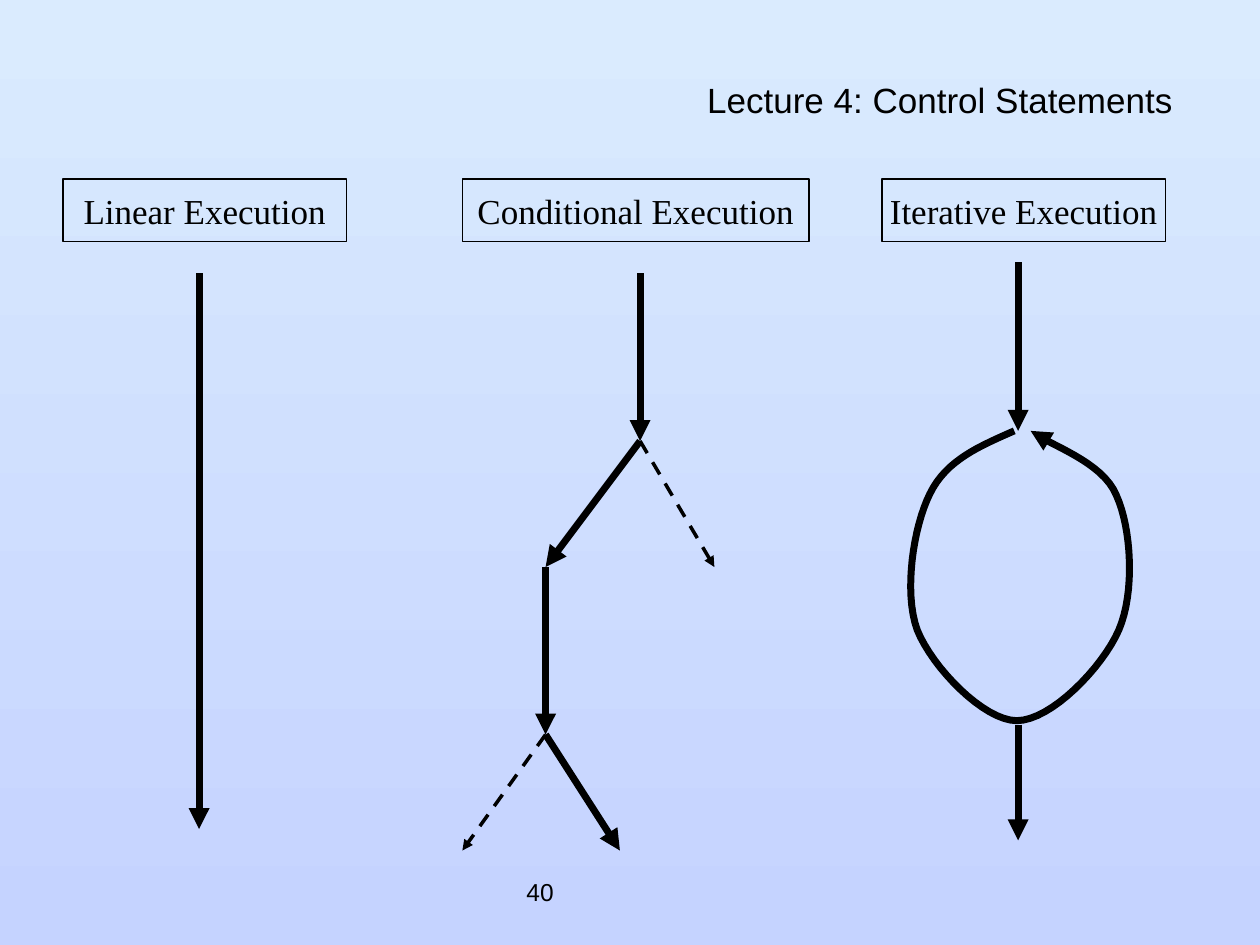
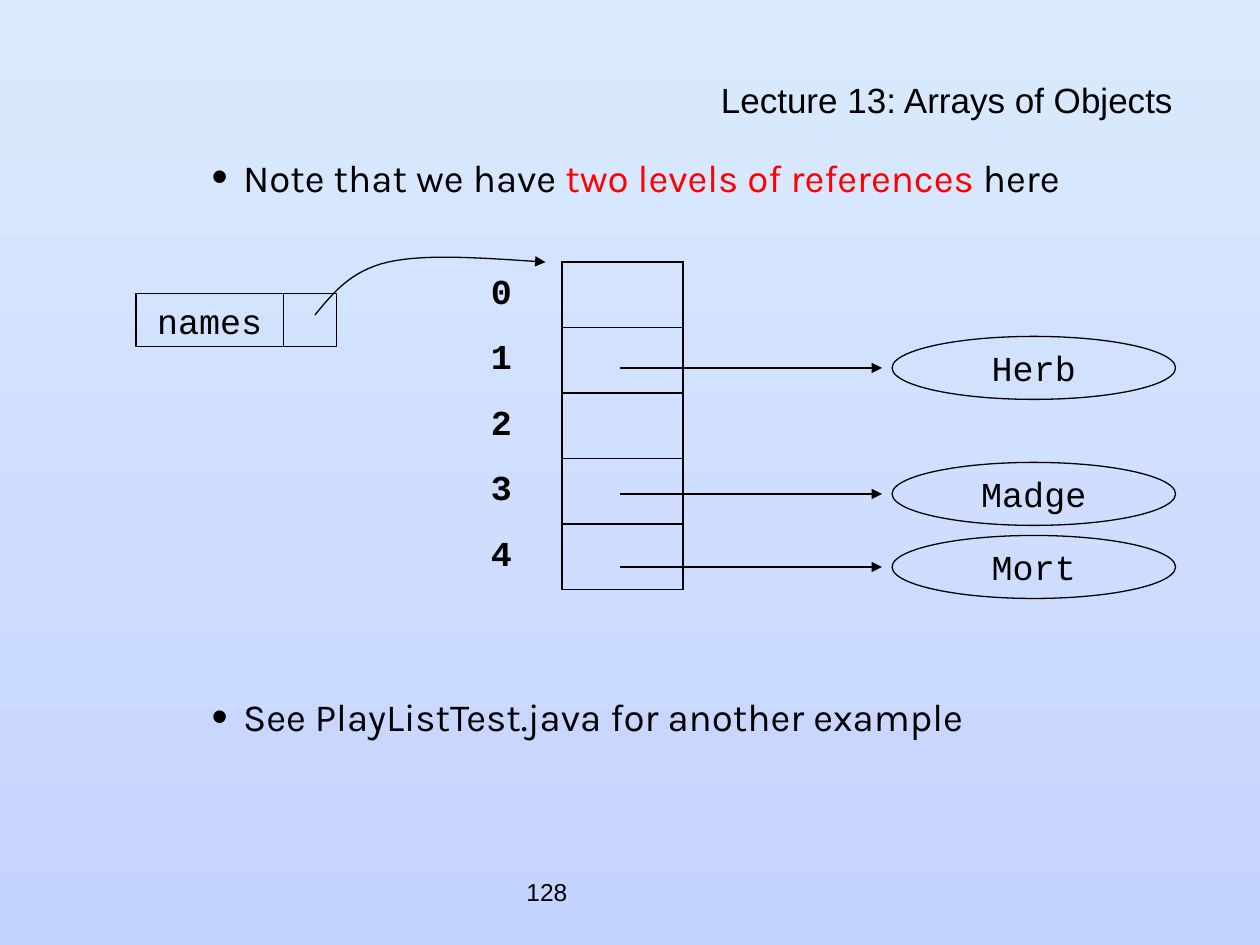
from dataclasses import dataclass

from lxml import etree
from pptx import Presentation
from pptx.dml.color import RGBColor
from pptx.enum.dml import MSO_LINE
from pptx.enum.shapes import MSO_CONNECTOR, MSO_SHAPE
from pptx.enum.text import MSO_ANCHOR, PP_ALIGN
from pptx.oxml.ns import qn
from pptx.util import Inches, Pt

RECTANGLE, OVAL = MSO_SHAPE.RECTANGLE, MSO_SHAPE.OVAL
STRAIGHT = MSO_CONNECTOR.STRAIGHT
DASH = MSO_LINE.DASH
MIDDLE, TOP = MSO_ANCHOR.MIDDLE, MSO_ANCHOR.TOP
CENTER, RIGHT, LEFT = PP_ALIGN.CENTER, PP_ALIGN.RIGHT, PP_ALIGN.LEFT


@dataclass(frozen=True)
class Theme:
    ink: RGBColor = RGBColor(0, 0, 0)
    accent: RGBColor = RGBColor(0xFF, 0, 0)
    sky_top: RGBColor = RGBColor(0xDA, 0xEB, 0xFE)
    sky_bottom: RGBColor = RGBColor(0xC5, 0xD3, 0xFF)
    heading_font: str = "Arial"
    body_font: str = "Karla"
    label_font: str = "Times New Roman"
    code_font: str = "Courier New"
    title_size: int = 20
    body_size: int = 22
    label_size: int = 20
    number_size: int = 14
    thin: float = 0.75
    dashed: float = 2
    thick: float = 4


theme = Theme()


def style_arrow(shape, weight):
    """Give a connector or open outline its line, arrowhead and no shadow."""
    shape.line.color.rgb = theme.ink
    shape.line.width = Pt(weight)
    if weight == theme.dashed:
        shape.line.dash_style = DASH
    etree.SubElement(shape.get_or_add_ln(), qn("a:tailEnd"), type="triangle")
    etree.SubElement(shape.element.spPr, qn("a:effectLst"))


def add_label_box(slide, kind, text, font, left, top, width, height):
    box = slide.shapes.add_shape(
        kind, Inches(left), Inches(top), Inches(width), Inches(height))
    box.shadow.inherit = False
    box.fill.background()
    box.line.color.rgb = theme.ink
    box.line.width = Pt(theme.thin)
    if text:
        frame = box.text_frame
        frame.text = text
        frame.word_wrap = False
        frame.vertical_anchor = MIDDLE
        para = frame.paragraphs[0]
        para.alignment = CENTER
        para.font.name = font
        para.font.size = Pt(theme.label_size)
        para.font.color.rgb = theme.ink


deck = Presentation()
deck.slide_width, deck.slide_height = Inches(10), Inches(7.5)

# Shared background
sky = deck.slide_master.background.fill
sky.gradient()
sky.gradient_angle = 270
for stop, color in zip(sky.gradient_stops, (theme.sky_top, theme.sky_bottom)):
    stop.color.rgb = color
sky.gradient_stops[0].position = 0
sky.gradient_stops[1].position = 1

# Slides with title and page number
title_only, title_and_content = deck.slide_layouts[5], deck.slide_layouts[1]
for layout, heading, number in (
    (title_only, "Lecture 4: Control Statements", "40"),
    (title_and_content, "Lecture 13: Arrays of Objects", "128"),
):
    slide = deck.slides.add_slide(layout)
    title = slide.shapes.title
    title.left, title.top = Inches(0.58), Inches(0.67)
    title.width, title.height = Inches(8.83), Inches(0.33)
    title.text_frame.text = heading
    title.text_frame.vertical_anchor = MIDDLE
    para = title.text_frame.paragraphs[0]
    para.alignment = RIGHT
    para.line_spacing = 0.7
    para.font.name = theme.heading_font
    para.font.size = Pt(theme.title_size)
    para.font.color.rgb = theme.ink

    page_number = slide.shapes.add_textbox(
        Inches(4.08), Inches(6.83), Inches(2.08), Inches(0.5))
    page_number.text_frame.text = number
    page_number.text_frame.word_wrap = False
    page_number.text_frame.vertical_anchor = MIDDLE
    para = page_number.text_frame.paragraphs[0]
    para.alignment = LEFT
    para.font.name = theme.heading_font
    para.font.size = Pt(theme.number_size)
    para.font.color.rgb = theme.ink

control_slide, array_slide = deck.slides

# Kinds of execution
for text, left, width in (
    ("Linear Execution", 0.5, 2.25),
    ("Conditional Execution", 3.67, 2.75),
    ("Iterative Execution", 7, 2.25),
):
    add_label_box(control_slide, RECTANGLE, text, theme.label_font,
                  left, 1.42, width, 0.5)

# Bullets around the array diagram
body = array_slide.placeholders[1]
body.left, body.top = Inches(0.58), Inches(1.17)
body.width, body.height = Inches(8.83), Inches(5.5)
frame = body.text_frame
frame.vertical_anchor = TOP
bullets = (
    (("Note that we have ", theme.ink),
     ("two levels of references", theme.accent),
     (" here", theme.ink)),
    (("See PlayListTest.java for another example", theme.ink),),
)
for index, spans in enumerate(bullets):
    para = frame.add_paragraph() if index else frame.paragraphs[0]
    para.level = 2
    properties = para._p.get_or_add_pPr()
    properties.set("marL", str(Inches(1.25)))
    properties.set("indent", str(Inches(-0.25)))
    bullet_color = etree.SubElement(properties, qn("a:buClr"))
    etree.SubElement(bullet_color, qn("a:srgbClr"), val=str(theme.ink))
    etree.SubElement(properties, qn("a:buSzPct"), val="120000")
    etree.SubElement(properties, qn("a:buChar"), char="•")
    para.alignment = LEFT
    para.space_before = Pt(282 * index)
    for text, color in spans:
        span = para.add_run()
        span.text = text
        span.font.name = theme.body_font
        span.font.size = Pt(theme.body_size)
        span.font.color.rgb = color

# The variable and the objects
add_label_box(array_slide, RECTANGLE, "names", theme.code_font,
              1.08, 2.33, 1.17, 0.42)
add_label_box(array_slide, RECTANGLE, "", theme.code_font,
              2.25, 2.33, 0.42, 0.42)
arrows = []
for name, center in (("Herb", 2.92), ("Madge", 3.92), ("Mort", 4.5)):
    add_label_box(array_slide, OVAL, name, theme.code_font,
                  7.08, center - 0.25, 2.25, 0.5)
    arrows.append((array_slide, (4.92, center), (7, center), theme.thin))

# Array with its indexes
row_count, row_height, column_width = 5, 0.52, 0.96
table = array_slide.shapes.add_table(
    row_count, 2, Inches(3.5), Inches(2.08),
    Inches(2 * column_width), Inches(row_count * row_height)).table
table.first_row = table.horz_banding = False
for row in range(row_count):
    for column in range(2):
        cell = table.cell(row, column)
        cell_properties = cell._tc.get_or_add_tcPr()
        for side in "LRTB":
            border = etree.SubElement(
                cell_properties, qn(f"a:ln{side}"), w=str(Pt(1)))
            if column == 1 or side == "R":
                border_fill = etree.SubElement(border, qn("a:solidFill"))
                etree.SubElement(border_fill, qn("a:srgbClr"), val=str(theme.ink))
            else:
                etree.SubElement(border, qn("a:noFill"))
        cell.fill.background()
        cell.vertical_anchor = MIDDLE
    index_cell = table.cell(row, 0)
    index_cell.text_frame.text = str(row)
    para = index_cell.text_frame.paragraphs[0]
    para.alignment = CENTER
    para.font.name = theme.code_font
    para.font.size = Pt(theme.label_size)
    para.font.bold = True
    para.font.color.rgb = theme.ink

# Straight arrows
first_fork, second_fork = (5.08, 3.5), (4.33, 5.83)
for start, end, weight in (
    ((1.58, 2.17), (1.58, 6.58), theme.thick),
    ((5.08, 2.17), first_fork, theme.thick),
    (first_fork, (4.33, 4.5), theme.thick),
    (first_fork, (5.67, 4.5), theme.dashed),
    ((4.33, 4.5), second_fork, theme.thick),
    (second_fork, (4.92, 6.75), theme.thick),
    (second_fork, (3.67, 6.75), theme.dashed),
    ((8.08, 2.08), (8.08, 3.42), theme.thick),
    ((8.08, 5.75), (8.08, 6.67), theme.thick),
):
    arrows.append((control_slide, start, end, weight))
for slide, start, end, weight in arrows:
    arrow = slide.shapes.add_connector(
        STRAIGHT, *(Inches(value) for value in start + end))
    style_arrow(arrow, weight)

# Curved arrows: a start, then two control points and an end per Bézier piece
loop_curve = (
    (8.05, 3.42), (7.78, 3.54), (7.51, 3.65), (7.38, 3.92),
    (7.25, 4.18), (7.17, 4.7), (7.28, 5), (7.4, 5.3), (7.81, 5.72),
    (8.07, 5.72), (8.34, 5.72), (8.75, 5.3), (8.88, 5),
    (9.01, 4.7), (8.98, 4.19), (8.86, 3.93), (8.75, 3.66), (8.32, 3.53),
    (8.18, 3.42),
)
reference_curve = (
    (2.5, 2.5), (2.64, 2.33), (2.78, 2.15), (3.08, 2.08),
    (3.39, 2.01), (3.86, 2.05), (4.33, 2.08),
)
steps = 16
for slide, curve, weight in (
    (control_slide, loop_curve, theme.thick),
    (array_slide, reference_curve, theme.thin),
):
    points = []
    for first in range(0, len(curve) - 1, 3):
        piece = curve[first:first + 4]
        for step in range(1, steps + 1):
            t = step / steps
            weights = ((1 - t) ** 3, 3 * t * (1 - t) ** 2,
                       3 * t ** 2 * (1 - t), t ** 3)
            points.append(tuple(
                Inches(sum(w * point[axis] for w, point in zip(weights, piece)))
                for axis in (0, 1)))
    builder = slide.shapes.build_freeform(*(Inches(value) for value in curve[0]))
    builder.add_line_segments(points, close=False)
    curved_arrow = builder.convert_to_shape()
    curved_arrow.fill.background()
    style_arrow(curved_arrow, weight)

deck.save("out.pptx")
